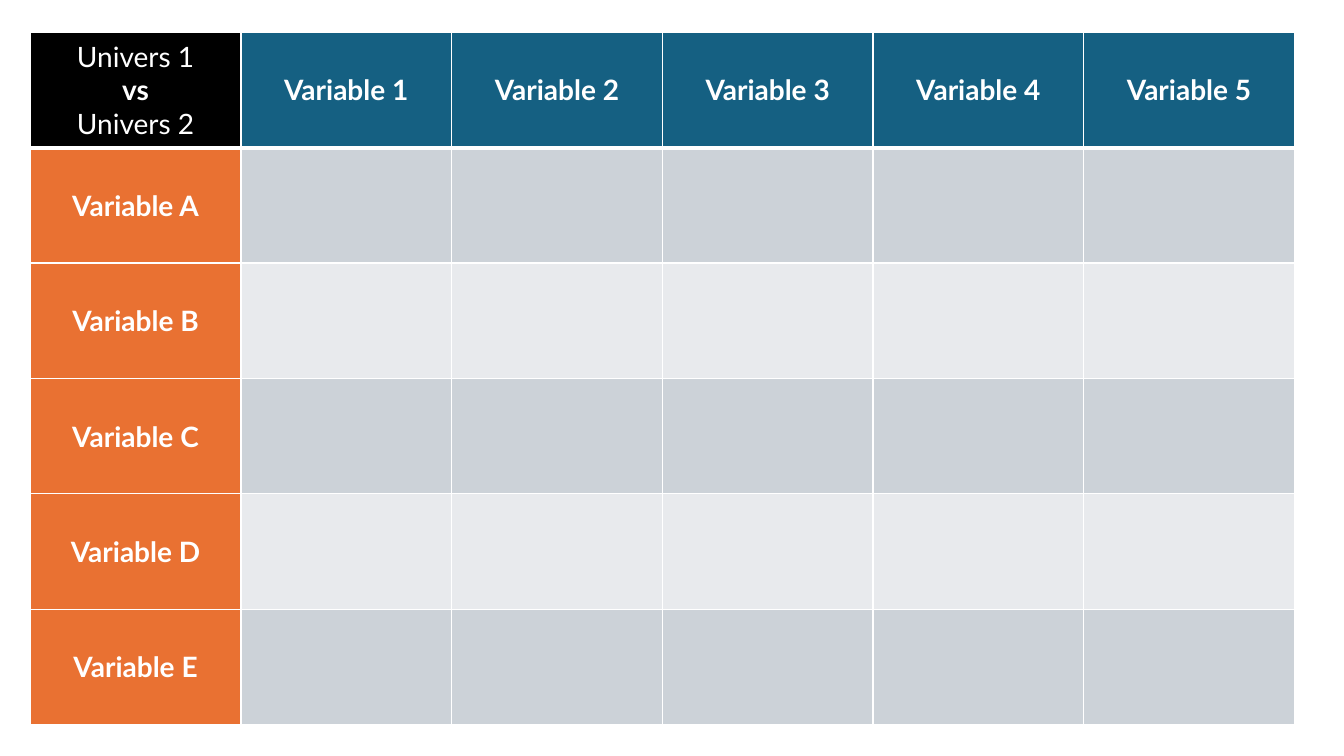
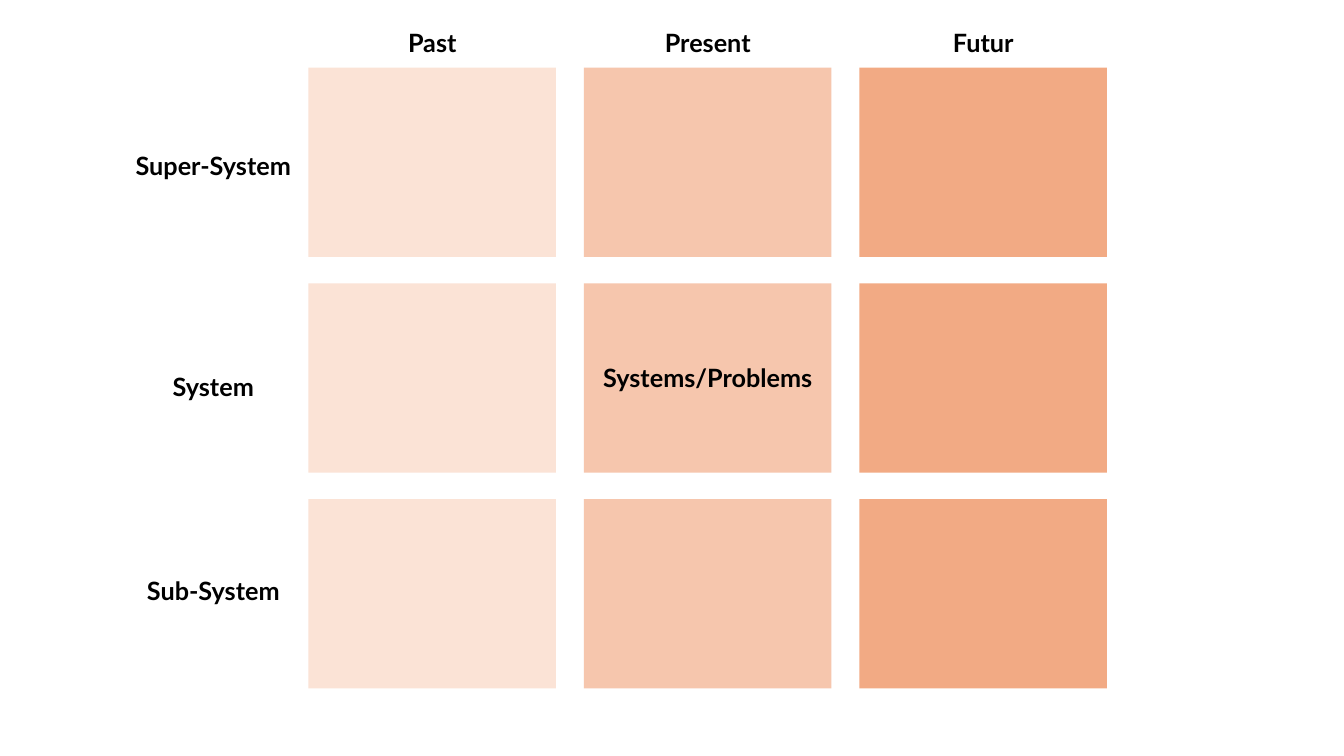
from pptx import Presentation, util as u
from pptx.dml.color import RGBColor
from pptx.enum import shapes, text
from pptx.oxml import parse_xml
from pptx.oxml.ns import nsdecls

WHITE = RGBColor(0xFF, 0xFF, 0xFF)
BLACK = RGBColor(0, 0, 0)
BLUE = RGBColor(0x15, 0x60, 0x82)
ORANGE = RGBColor(0xE9, 0x71, 0x32)
BANDS = RGBColor(0xCC, 0xD2, 0xD8), RGBColor(0xE8, 0xEA, 0xED)
PEACHES = RGBColor(0xFB, 0xE3, 0xD6), RGBColor(0xF6, 0xC6, 0xAD), RGBColor(0xF2, 0xAA, 0x84)
FONT = "Lato"
THIN, THICK = 1, 3
LABEL_HEIGHT = 0.4


def write(frame, lines, size=18, color=BLACK, bold_lines=None):
    """Write centred lines; bold_lines lists the bold ones, all by default."""
    for index, line in enumerate(lines):
        para = frame.paragraphs[0] if index == 0 else frame.add_paragraph()
        para.alignment = text.PP_ALIGN.CENTER
        span = para.add_run()
        span.text = line
        span.font.name = FONT
        span.font.size = u.Pt(size)
        span.font.bold = bold_lines is None or index in bold_lines
        span.font.color.rgb = color


def add_label(group, wording, left, top, width):
    """Place a one-line bold label."""
    box = group.shapes.add_textbox(*map(u.Inches, (left, top, width, LABEL_HEIGHT)))
    box.text_frame.word_wrap = True
    box.text_frame.auto_size = text.MSO_AUTO_SIZE.SHAPE_TO_FIT_TEXT
    write(box.text_frame, [wording])


def set_borders(cell, top, bottom):
    """Draw white cell borders with the given top and bottom widths in points."""
    properties = cell._tc.get_or_add_tcPr()
    for index, (side, width) in enumerate(zip("LRTB", (THIN, THIN, top, bottom))):
        properties.insert(index, parse_xml(
            f'<a:ln{side} {nsdecls("a")} w="{u.Pt(width)}"><a:solidFill>'
            f'<a:srgbClr val="{WHITE}"/></a:solidFill></a:ln{side}>'))


def add_comparison_table(page, left, top, width, height, corner, columns, rows):
    """Fill the box with an even table of variables against variables."""
    row_count, column_count = len(rows) + 1, len(columns) + 1
    table = page.shapes.add_table(
        row_count, column_count, *map(u.Inches, (left, top, width, height))).table
    for column in table.columns:
        column.width = u.Inches(width / column_count)
    for row in table.rows:
        row.height = u.Inches(height / row_count)
    for r in range(row_count):
        for c in range(column_count):
            cell = table.cell(r, c)
            cell.vertical_anchor = text.MSO_ANCHOR.MIDDLE
            if r == c == 0:
                fill, lines, bold_lines = BLACK, corner, [1]
            elif r == 0:
                fill, lines, bold_lines = BLUE, [columns[c - 1]], None
            elif c == 0:
                fill, lines, bold_lines = ORANGE, [rows[r - 1]], None
            else:
                fill, lines, bold_lines = BANDS[(r - 1) % 2], [], None
            cell.fill.solid()
            cell.fill.fore_color.rgb = fill
            write(cell.text_frame, lines, size=20, color=WHITE, bold_lines=bold_lines)
            set_borders(cell, THICK if r == 1 else THIN, THICK if r == 0 else THIN)


def add_system_matrix(page, left, top, width, height, columns, rows, centre):
    """Fill the box with coloured tiles, labelled above and to the left."""
    tile_width, tile_height = 0.31 * width, 0.305 * height
    column_step = (width - tile_width) / (len(columns) - 1)
    row_step = (height - tile_height) / (len(rows) - 1)
    group = page.shapes.add_group_shape()
    for c, color in enumerate(PEACHES):
        for r in range(len(rows)):
            tile = group.shapes.add_shape(
                shapes.MSO_SHAPE.RECTANGLE,
                *map(u.Inches, (left + c * column_step, top + r * row_step,
                                tile_width, tile_height)))
            tile.shadow.inherit = False
            tile.fill.solid()
            tile.fill.fore_color.rgb = color
            tile.line.fill.background()
    for c, wording in enumerate(columns):
        add_label(group, wording, left + c * column_step, top - 0.45, tile_width)
    row_label_width = 1.89
    for wording, offset in rows:
        add_label(group, wording, left - row_label_width, top + offset, row_label_width)
    add_label(group, centre, left + column_step,
              top + (height - LABEL_HEIGHT) / 2, tile_width)


def main():
    """Build and save the deck."""
    deck = Presentation()
    deck.slide_width, deck.slide_height = u.Inches(13.33), u.Inches(7.5)
    blank = deck.slide_layouts[6]
    add_comparison_table(
        deck.slides.add_slide(blank), 0.3, 0.32, 12.54, 6.87,
        corner=["Univers 1", "vs", "Univers 2"],
        columns=[f"Variable {number}" for number in range(1, 6)],
        rows=[f"Variable {letter}" for letter in "ABCDE"])
    add_system_matrix(
        deck.slides.add_slide(blank), 3.06, 0.67, 7.92, 6.16,
        columns=["Past", "Present", "Futur"],
        rows=[("Super-System", 0.77), ("System", 2.96), ("Sub-System", 4.99)],
        centre="Systems/Problems")
    deck.save("out.pptx")


if __name__ == "__main__":
    main()
